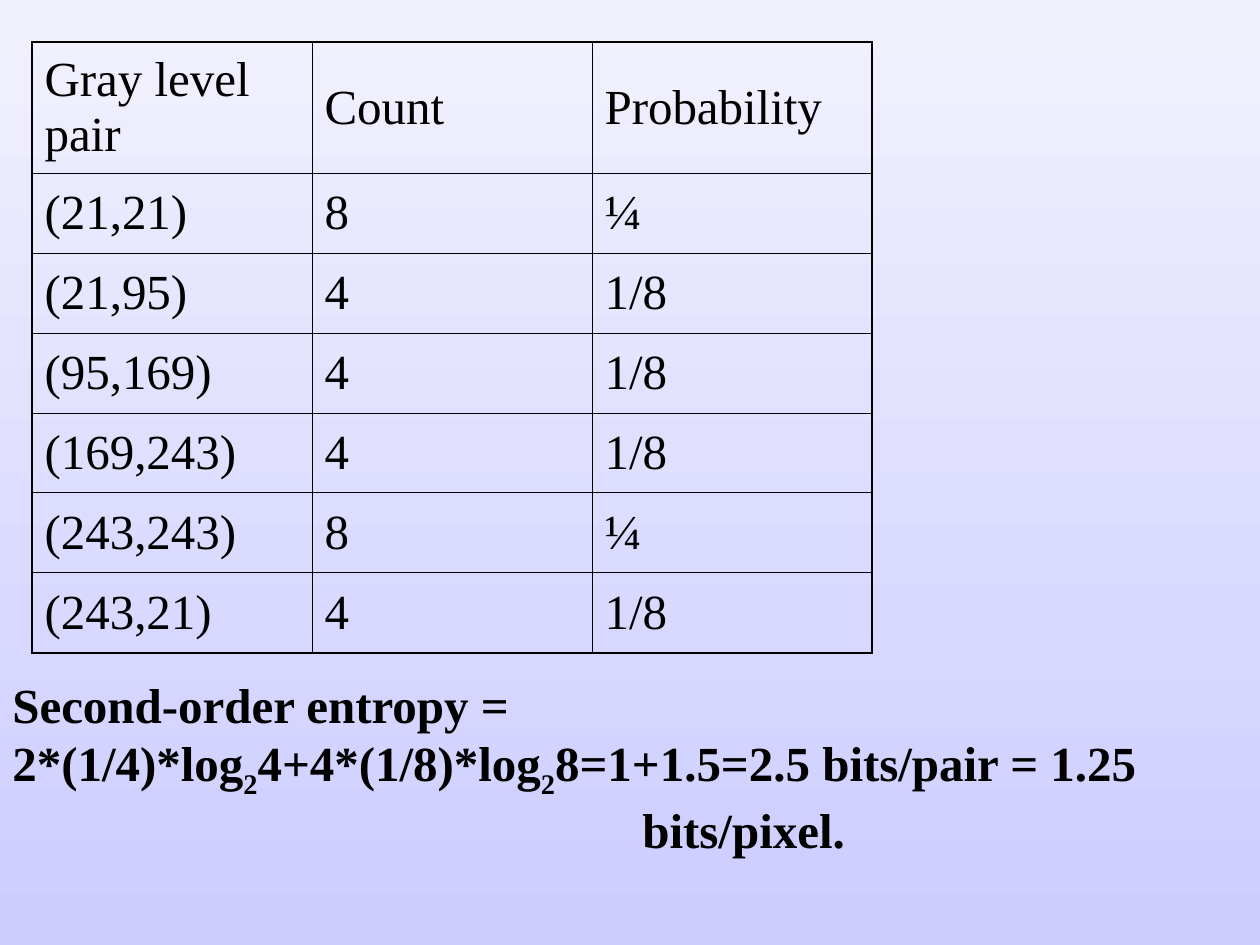
from typing import NamedTuple

from lxml.etree import SubElement
from pptx import Presentation
from pptx.dml.color import RGBColor
from pptx.enum.text import MSO_ANCHOR, MSO_AUTO_SIZE
from pptx.oxml.ns import qn
from pptx.util import Emu, Pt

PIXELS_PER_INCH = 126
BLACK = RGBColor(0x00, 0x00, 0x00)
PALE_LAVENDER = RGBColor(0xF1, 0xF1, 0xFE)
LAVENDER = RGBColor(0xCC, 0xCC, 0xFF)
FONT_NAME = "Times New Roman"
FONT_SIZE = Pt(28)
OUTER_LINE = Pt(1.08)
INNER_LINE = Pt(0.45)


class PairRow(NamedTuple):
    pair: str
    count: str
    probability: str
    height: int = 80


class TextPart(NamedTuple):
    text: str
    subscript: bool = False


PAIR_ROWS = [
    PairRow("Gray level pair", "Count", "Probability", 131),
    PairRow("(21,21)", "8", "¼"),
    PairRow("(21,95)", "4", "1/8"),
    PairRow("(95,169)", "4", "1/8"),
    PairRow("(169,243)", "4", "1/8"),
    PairRow("(243,243)", "8", "¼"),
    PairRow("(243,21)", "4", "1/8"),
]
COLUMN_WIDTH = 280
COLUMN_COUNT = 3

ENTROPY_PARTS = [
    TextPart("Second-order entropy = 2*(1/4)*log"),
    TextPart("2", subscript=True),
    TextPart("4+4*(1/8)*log"),
    TextPart("2", subscript=True),
    TextPart("8=1+1.5=2.5 bits/pair = 1.25"),
]


def px(length: int) -> Emu:
    return Emu(round(length * 914400 / PIXELS_PER_INCH))


def format_run(run, bold: bool = False) -> None:
    run.font.name = FONT_NAME
    run.font.size = FONT_SIZE
    run.font.bold = bold
    run.font.color.rgb = BLACK


def set_borders(cell, left: Pt, right: Pt, top: Pt, bottom: Pt) -> None:
    properties = cell._tc.get_or_add_tcPr()
    sides = {"a:lnL": left, "a:lnR": right, "a:lnT": top, "a:lnB": bottom}
    for position, (tag, width) in enumerate(sides.items()):
        line = SubElement(properties, qn(tag), w=str(int(width)))
        color_fill = SubElement(line, qn("a:solidFill"))
        SubElement(color_fill, qn("a:srgbClr"), val=str(BLACK))
        properties.insert(position, line)


def add_pair_table(slide, left: int, top: int) -> None:
    height = sum(row.height for row in PAIR_ROWS)
    table = slide.shapes.add_table(
        len(PAIR_ROWS), COLUMN_COUNT, px(left), px(top),
        px(COLUMN_WIDTH * COLUMN_COUNT), px(height)).table
    table.first_row = False
    table.horz_banding = False
    last_row, last_column = len(PAIR_ROWS) - 1, COLUMN_COUNT - 1

    for column in table.columns:
        column.width = px(COLUMN_WIDTH)
    for row_index, pair_row in enumerate(PAIR_ROWS):
        table.rows[row_index].height = px(pair_row.height)
        for column_index, text in enumerate(pair_row[:COLUMN_COUNT]):
            cell = table.cell(row_index, column_index)
            cell.text = text
            cell.vertical_anchor = MSO_ANCHOR.MIDDLE
            cell.fill.background()
            format_run(cell.text_frame.paragraphs[0].runs[0])
            set_borders(
                cell,
                left=OUTER_LINE if column_index == 0 else INNER_LINE,
                right=OUTER_LINE if column_index == last_column else INNER_LINE,
                top=OUTER_LINE if row_index == 0 else INNER_LINE,
                bottom=OUTER_LINE if row_index == last_row else INNER_LINE)


def add_entropy_text(slide, left: int, top: int, width: int, height: int) -> None:
    text_box = slide.shapes.add_textbox(px(left), px(top), px(width), px(height))
    text_frame = text_box.text_frame
    text_frame.word_wrap = True
    text_frame.auto_size = MSO_AUTO_SIZE.SHAPE_TO_FIT_TEXT

    formula = text_frame.paragraphs[0]
    for part in ENTROPY_PARTS:
        run = formula.add_run()
        run.text = part.text
        format_run(run, bold=True)
        if part.subscript:
            run._r.get_or_add_rPr().set("baseline", "-25000")

    # The unit stands alone on an indented last line
    unit = text_frame.add_paragraph()
    unit.text = "bits/pixel."
    unit._p.get_or_add_pPr().set("marL", str(px(5 * PIXELS_PER_INCH)))
    format_run(unit.runs[0], bold=True)


def set_background(slide) -> None:
    fill = slide.background.fill
    fill.gradient()
    fill.gradient_angle = 270
    for stop, color, position in zip(
            fill.gradient_stops, (PALE_LAVENDER, LAVENDER), (0, 1)):
        stop.color.rgb = color
        stop.position = position


def main() -> None:
    presentation = Presentation()
    presentation.slide_width = px(1260)
    presentation.slide_height = px(945)
    slide = presentation.slides.add_slide(presentation.slide_layouts[6])

    set_background(slide)
    add_pair_table(slide, left=32, top=42)
    add_entropy_text(slide, left=0, top=668, width=1260, height=287)

    presentation.save("out.pptx")


if __name__ == "__main__":
    main()
